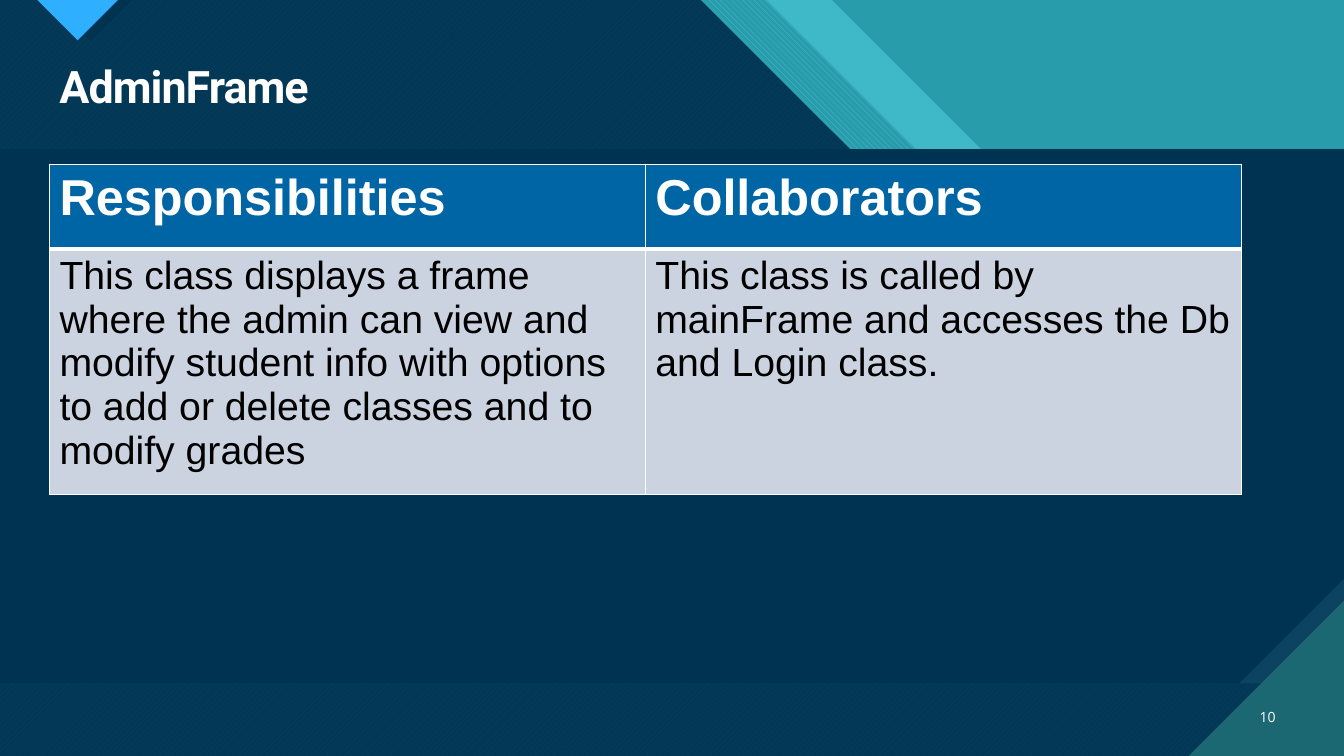
from lxml import etree
from pptx import Presentation
from pptx.dml.color import RGBColor
from pptx.enum import dml, text
from pptx.oxml import ns
from pptx.util import Inches, Pt

WHITE = RGBColor(0xFF, 0xFF, 0xFF)
BLACK = RGBColor(0, 0, 0)
NAVY = RGBColor(0x00, 0x33, 0x52)
SLATE = RGBColor(0x0C, 0x43, 0x60)
TEAL = RGBColor(0x29, 0x9C, 0xAB)
AQUA = RGBColor(0x47, 0xC3, 0xD3)
PINE = RGBColor(0x1B, 0x68, 0x72)
SKY = RGBColor(0x2F, 0xAF, 0xFF)
BLUE = RGBColor(0x00, 0x65, 0xA4)
GREY = RGBColor(0xCC, 0xD3, 0xE0)
PAT = dml.MSO_PATTERN

# Content
TITLE = "AdminFrame"
PAGE = "10"
ROWS = [
    ("Responsibilities", "Collaborators"),
    ("This class displays a frame where the admin can view and modify student info "
     "with options to add or delete classes and to modify grades",
     "This class is called by mainFrame and accesses the Db and Login class."),
]
# Row height, text size, bold, text colour, fill, bottom border
STYLES = [(0.84, 36, True, WHITE, BLUE, 3), (2.26, 28, False, BLACK, GREY, 1)]

W, H = 13.33, 7.5
TOP, LOW = 1.48, 6.78
SNIP = 1.04


def slant(x):
    """Area left of a 45 degree edge that starts at x on the top."""
    return [(0, 0), (x, 0), (x + 2.97, 2.97), (W, 2.97), (W, H), (0, H)]


def panel(cut):
    return [(0, TOP), (W, TOP), (W, LOW - cut), (W - cut, LOW), (0, LOW)]


# Outline, colour, opacity in percent, pattern and its back colour
SHAPES = [
    (slant(8.25), AQUA, 74, None, None),
    (slant(7.6), AQUA, 100, PAT.WIDE_DOWNWARD_DIAGONAL, TEAL),
    (slant(6.95), AQUA, 100, PAT.WIDE_UPWARD_DIAGONAL, PINE),
    (slant(6.95), NAVY, 90, None, None),
    ([(0.48, 0), (1.31, 0), (0.9, 0.41)], NAVY, 100, None, None),
    ([(0.37, 0), (1.17, 0), (0.77, 0.4)], SKY, 100, None, None),
    (panel(0), SLATE, 100, None, None),
    (panel(SNIP), NAVY, 100, None, None),
    ([(W - 1.54, H), (W, H), (W, H - 1.54)], PINE, 100, None, None),
]

deck = Presentation()
deck.slide_width, deck.slide_height = Inches(W), Inches(H)
slide = deck.slides.add_slide(deck.slide_layouts[6])
slide.background.fill.solid()
slide.background.fill.fore_color.rgb = TEAL


def draw(points, tint, alpha, pat, back):
    pts = [(Inches(x), Inches(y)) for x, y in points]
    pen = slide.shapes.build_freeform(*pts[0])
    pen.add_line_segments(pts[1:], close=True)
    shape = pen.convert_to_shape()
    shape.shadow.inherit = False
    shape.line.fill.background()
    fill = shape.fill
    if pat:
        fill.patterned()
        fill.pattern = pat
        fill.back_color.rgb = back
    else:
        fill.solid()
    fill.fore_color.rgb = tint
    if alpha < 100:
        clr = shape.element.spPr.find(".//" + ns.qn("a:srgbClr"))
        etree.SubElement(clr, ns.qn("a:alpha"), val=str(alpha * 1000))


def write(frame, words, size, face, tint, bold=False):
    para = frame.paragraphs[0]
    run = para.add_run()
    run.text = words
    font = run.font
    font.size, font.name, font.bold = Pt(size), face, bold
    font.color.rgb = tint
    return para, run


def label(box, *args):
    frame = slide.shapes.add_textbox(*map(Inches, box)).text_frame
    frame.word_wrap = True
    frame.vertical_anchor = text.MSO_ANCHOR.MIDDLE
    return write(frame, *args)


def border(cell, low):
    props = cell._tc.get_or_add_tcPr()
    for i, side in enumerate("LRTB"):
        width = Pt(low if side == "B" else 1)
        line = etree.Element(ns.qn("a:ln" + side), w=str(width))
        fill = etree.SubElement(line, ns.qn("a:solidFill"))
        etree.SubElement(fill, ns.qn("a:srgbClr"), val=str(WHITE))
        props.insert(i, line)


# Backdrop
for part in SHAPES:
    draw(*part)

# Page number and title
para, run = label((12.31, 6.91, 0.44, 0.4), PAGE, 10, "Open Sans", WHITE)
para.alignment = text.PP_ALIGN.RIGHT
para, run = label((0.49, 0.59, 12.26, 0.59), TITLE, 32, "Roboto", WHITE, True)
para.line_spacing = 0.9
run.font._element.set("spc", "-70")

# Table
tall = sum(style[0] for style in STYLES)
table = slide.shapes.add_table(len(ROWS), 2, Inches(0.49), Inches(1.63),
                               Inches(11.82), Inches(tall)).table
for r, (row, style) in enumerate(zip(ROWS, STYLES)):
    high, size, bold, tint, back, low = style
    table.rows[r].height = Inches(high)
    for c, words in enumerate(row):
        cell = table.cell(r, c)
        cell.fill.solid()
        cell.fill.fore_color.rgb = back
        border(cell, low)
        write(cell.text_frame, words, size, "Arial", tint, bold)

deck.save("out.pptx")
